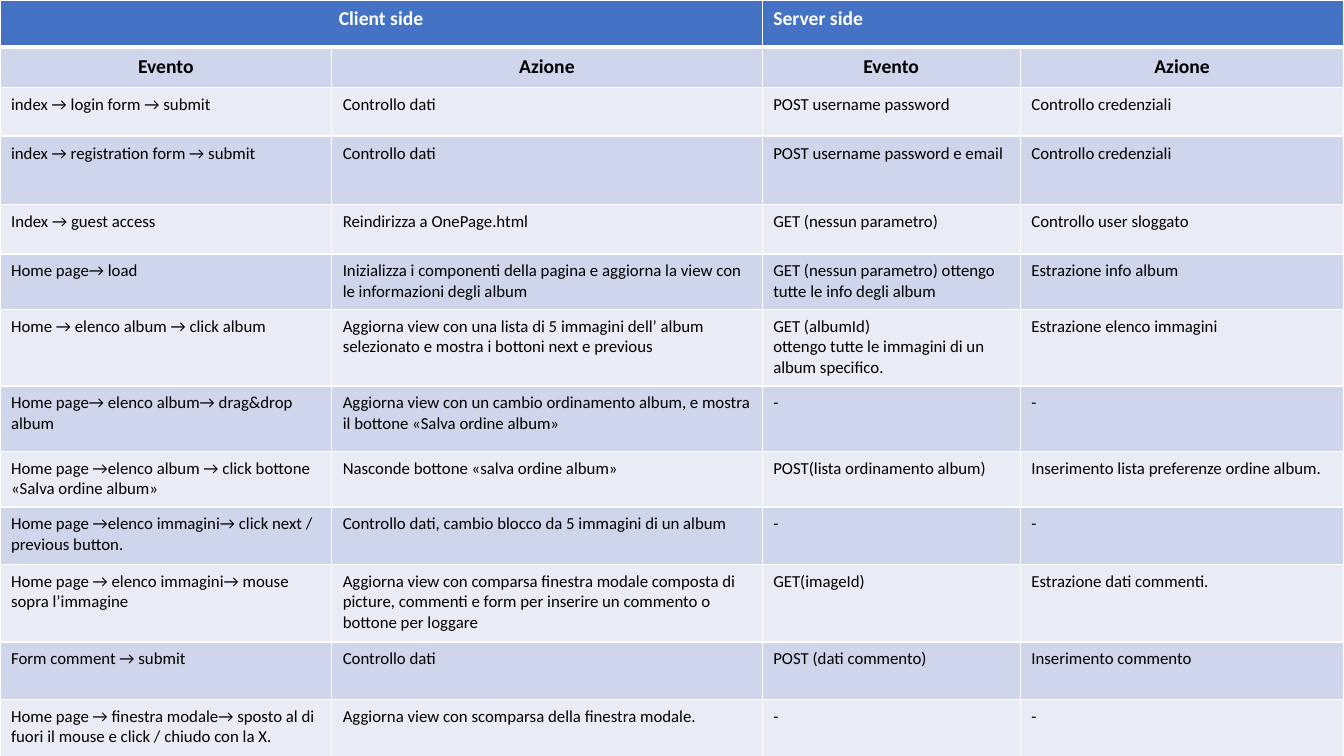
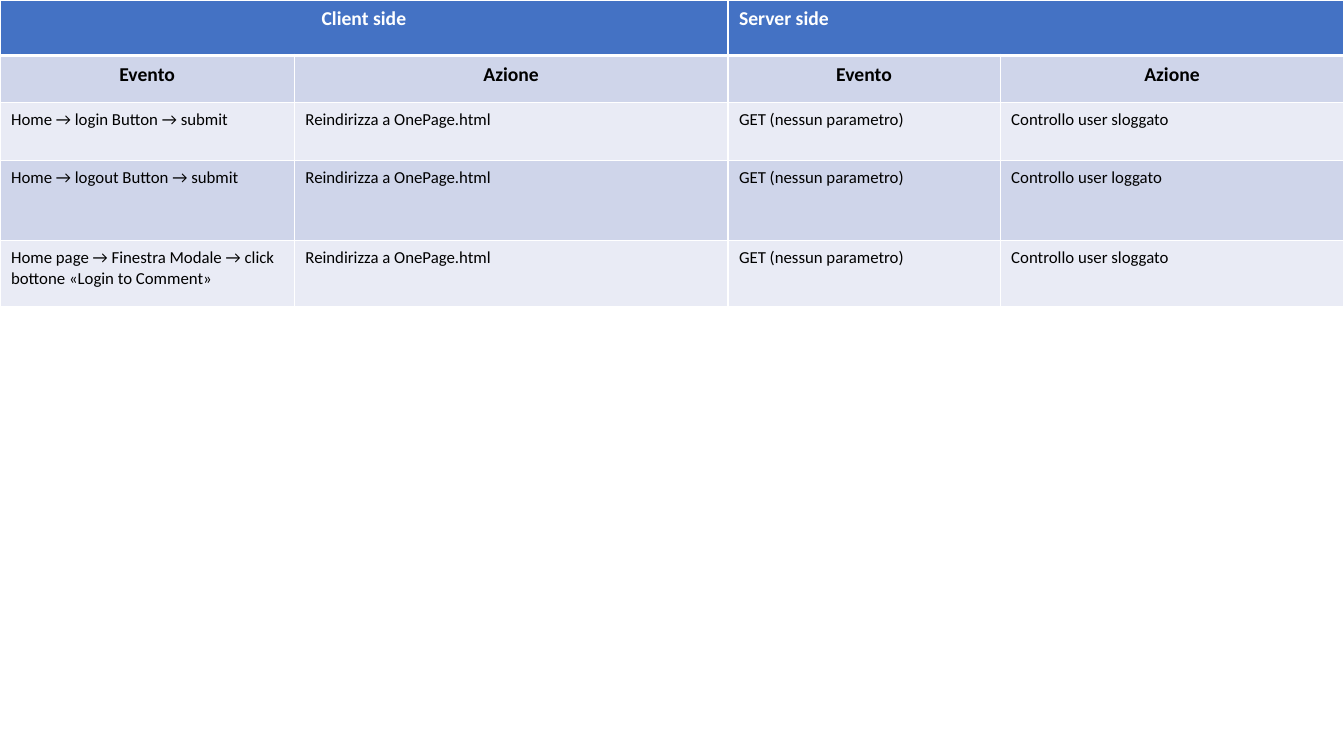
from pptx import Presentation
from pptx.dml.color import RGBColor
from pptx.enum import text
from pptx.oxml import ns, parse_xml
from pptx.util import Inches, Pt

# Shared look
COLORS = {
    "header": "4472C4",
    "band_dark": "CFD5EA",
    "band_light": "E9EBF5",
    "border": "FFFFFF",
    "header_text": "FFFFFF",
    "body_text": "000000",
}
FONT = "Calibri"
HEADINGS = [
    ("Client side", None, "Server side", None),
    ("Evento", "Azione", "Evento", "Azione"),
]

# Slide content
PAGE_EVENTS = {
    "cols": [3.29, 4.27, 2.56, 3.21],
    "heights": [0.47, 0.4, 0.48, 0.68, 0.49, 0.55, 0.76,
                0.65, 0.55, 0.57, 0.77, 0.57, 0.57],
    "rows": [
        ("index → login form → submit", "Controllo dati",
         "POST username password", "Controllo credenziali"),
        ("index → registration form → submit", "Controllo dati",
         "POST username password e email", "Controllo credenziali"),
        ("Index → guest access", "Reindirizza a OnePage.html",
         "GET (nessun parametro)", "Controllo user sloggato"),
        ("Home page→ load",
         "Inizializza i componenti della pagina e aggiorna la view con "
         "le informazioni degli album",
         "GET (nessun parametro) ottengo tutte le info degli album",
         "Estrazione info album"),
        ("Home → elenco album → click album",
         "Aggiorna view con una lista di 5 immagini dell’ album "
         "selezionato e mostra i bottoni next e previous",
         "GET (albumId)\nottengo tutte le immagini di un album specifico.",
         "Estrazione elenco immagini"),
        ("Home page→ elenco album→ drag&drop album",
         "Aggiorna view con un cambio ordinamento album, e mostra "
         "il bottone «Salva ordine album»", "-", "-"),
        ("Home page →elenco album → click bottone «Salva ordine album»",
         "Nasconde bottone «salva ordine album»",
         "POST(lista ordinamento album)",
         "Inserimento lista preferenze ordine album."),
        ("Home page →elenco immagini→ click next / previous button.",
         "Controllo dati, cambio blocco da 5 immagini di un album", "-", "-"),
        ("Home page → elenco immagini→ mouse sopra l’immagine",
         "Aggiorna view con comparsa finestra modale composta di picture, "
         "commenti e form per inserire un commento o bottone per loggare",
         "GET(imageId)", "Estrazione dati commenti."),
        ("Form comment → submit", "Controllo dati",
         "POST (dati commento)", "Inserimento commento"),
        ("Home page → finestra modale→ sposto al di fuori il mouse e click "
         "/ chiudo con la X.",
         "Aggiorna view con scomparsa della finestra modale.", "-", "-"),
    ],
}
LOGIN_EVENTS = {
    "cols": [2.92, 4.3, 2.7, 3.41],
    "heights": [0.55, 0.47, 0.57, 0.8, 0.65],
    "rows": [
        ("Home → login Button → submit", "Reindirizza a OnePage.html",
         "GET (nessun parametro)", "Controllo user sloggato"),
        ("Home → logout Button → submit", "Reindirizza a OnePage.html",
         "GET (nessun parametro)", "Controllo user loggato"),
        ("Home page → Finestra Modale → click bottone «Login to Comment»",
         "Reindirizza a OnePage.html",
         "GET (nessun parametro)", "Controllo user sloggato"),
    ],
}


def set_borders(cell, bottom=1):
    tc_pr = cell._tc.get_or_add_tcPr()
    for side, width in (("L", 1), ("R", 1), ("T", 1), ("B", bottom)):
        tc_pr.append(parse_xml(
            f'<a:ln{side} {ns.nsdecls("a")} w="{Pt(width)}"><a:solidFill>'
            f'<a:srgbClr val="{COLORS["border"]}"/></a:solidFill></a:ln{side}>'))


def style_cell(cell, row):
    """Fill and outline a cell according to its row."""
    set_borders(cell, bottom=3 if row == 0 else 1)
    band = "header" if row == 0 else "band_dark" if row % 2 else "band_light"
    cell.fill.solid()
    cell.fill.fore_color.rgb = RGBColor.from_string(COLORS[band])
    cell.margin_left = cell.margin_right = Inches(0.11)
    cell.margin_top = cell.margin_bottom = Inches(0.07)


def write_cell(cell, words, row, centred):
    cell.text = words
    color = COLORS["header_text" if row == 0 else "body_text"]
    for p in cell.text_frame.paragraphs:
        p.alignment = text.PP_ALIGN.CENTER if centred else text.PP_ALIGN.LEFT
        p.font.name = FONT
        p.font.size = Pt(14 if row < 2 else 12)
        p.font.bold = row < 2
        p.font.color.rgb = RGBColor.from_string(color)


def add_event_table(prs, content):
    """Add a slide with one full-width table of events and actions."""
    s = prs.slides.add_slide(prs.slide_layouts[6])
    cols, heights = content["cols"], content["heights"]
    table = s.shapes.add_table(
        len(heights), len(cols), 0, 0,
        Inches(sum(cols)), Inches(sum(heights))).table
    table.first_row = table.horz_banding = False
    for column, width in zip(table.columns, cols):
        column.width = Inches(width)
    for table_row, height in zip(table.rows, heights):
        table_row.height = Inches(height)

    # Each side spans its event and action columns
    for left in (0, 2):
        table.cell(0, left).merge(table.cell(0, left + 1))

    for row, entries in enumerate(HEADINGS + content["rows"]):
        for col, words in enumerate(entries):
            cell = table.cell(row, col)
            style_cell(cell, row)
            if words:
                centred = row == 1 or (row == 0 and col == 0)
                write_cell(cell, words, row, centred)


def main():
    prs = Presentation()
    prs.slide_width, prs.slide_height = Inches(13.33), Inches(7.5)
    for content in (PAGE_EVENTS, LOGIN_EVENTS):
        add_event_table(prs, content)
    prs.save("out.pptx")


if __name__ == "__main__":
    main()
